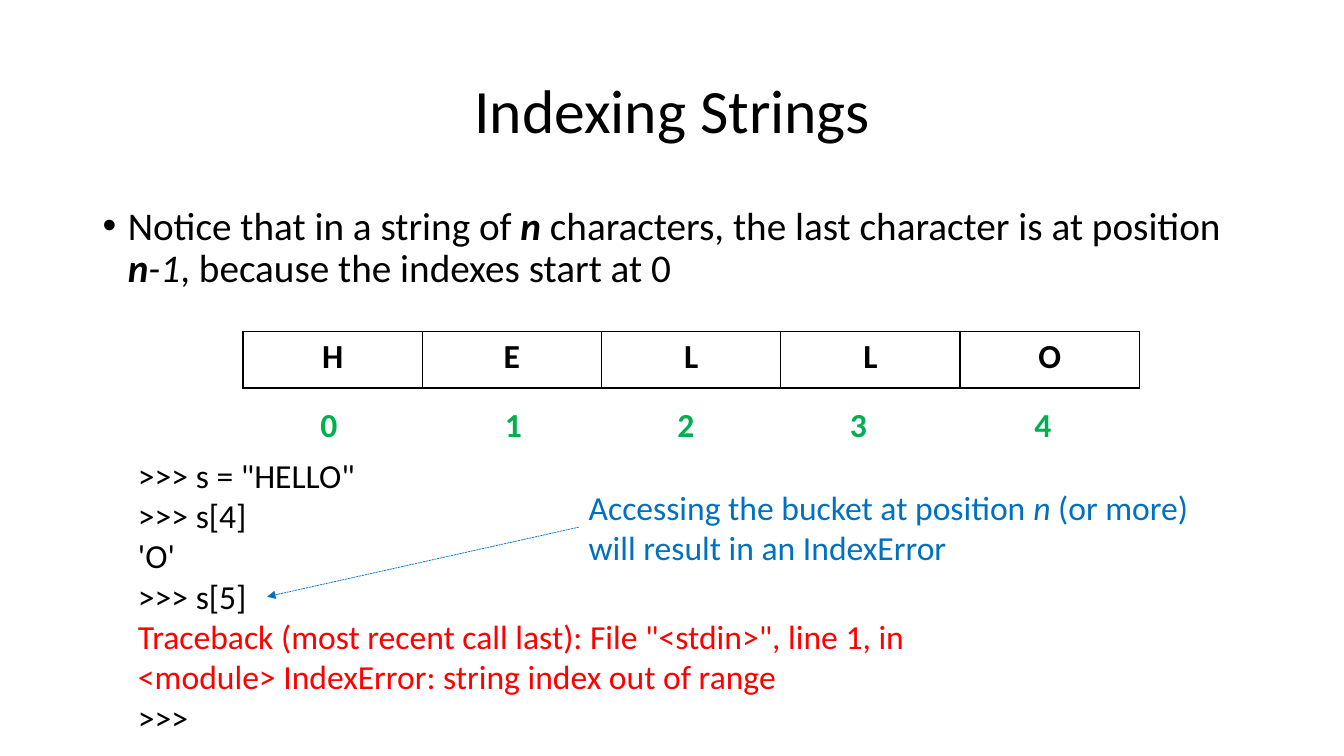
from pptx import Presentation
from pptx.dml.color import RGBColor
from pptx.enum.dml import MSO_LINE
from pptx.enum.shapes import MSO_CONNECTOR
from pptx.enum.text import MSO_ANCHOR, MSO_AUTO_SIZE, PP_ALIGN
from pptx.oxml.ns import qn
from pptx.util import Pt
from lxml import etree

PX = 9144  # 100 px to the inch
BLACK = RGBColor(0x00, 0x00, 0x00)
GREEN = RGBColor(0x00, 0xB0, 0x50)
RED = RGBColor(0xFF, 0x00, 0x00)
BLUE = RGBColor(0x00, 0x70, 0xC0)
CENTER, LEFT = PP_ALIGN.CENTER, PP_ALIGN.LEFT
TOP, MIDDLE = MSO_ANCHOR.TOP, MSO_ANCHOR.MIDDLE
NO_AUTOFIT = MSO_AUTO_SIZE.NONE
STRAIGHT = MSO_CONNECTOR.STRAIGHT
SYS_DASH = MSO_LINE.SQUARE_DOT
LINE_BREAK = None

BOLD = {"bold": True}
ITALIC = {"italic": True}
BOLD_ITALIC = {**BOLD, **ITALIC}

RULE = [
    ("Notice that in a string of ", {}),
    ("n", BOLD_ITALIC),
    (" characters, the last character is at position ", {}),
    ("n", BOLD_ITALIC),
    ("-1", ITALIC),
    (", because the indexes start at 0", {}),
]
WORD = "HELLO"
INDEX_LEFTS = [308, 491, 662, 833, 1016]
SESSION = [
    ('>>> s = "HELLO"', BLACK),
    (">>> s[4]", BLACK),
    ("'O'", BLACK),
    (">>> s[5]", BLACK),
    ('Traceback (most recent call last): File "<stdin>", line 1, in '
     "<module> IndexError: string index out of range", RED),
    (">>>", BLACK),
]
WARNING = [
    ("Accessing the bucket at position ", {}),
    ("n", ITALIC),
    (" (or more)", {}),
    (LINE_BREAK, {}),
    ("will result in an IndexError", {}),
]


def px(*lengths):
    return [length * PX for length in lengths]


def add_runs(paragraph, runs, size, color):
    """Add (text, format) runs; a LINE_BREAK text starts a new line."""
    for text, extra in runs:
        if text is LINE_BREAK:
            paragraph.add_line_break()
            continue
        run = paragraph.add_run()
        run.text = text
        for attribute, value in {"name": "Calibri", "size": Pt(size), **extra}.items():
            setattr(run.font, attribute, value)
        run.font.color.rgb = color


def add_text(slide, box, paragraphs, size=24, wrap=True, anchor=TOP, align=LEFT,
             line_spacing=None):
    """Add a text box of (runs, colour) paragraphs and return its text frame."""
    frame = slide.shapes.add_textbox(*px(*box)).text_frame
    frame_format = {"word_wrap": wrap, "auto_size": NO_AUTOFIT, "vertical_anchor": anchor}
    for attribute, value in frame_format.items():
        setattr(frame, attribute, value)
    for number, (runs, color) in enumerate(paragraphs):
        paragraph = frame.add_paragraph() if number else frame.paragraphs[0]
        paragraph.alignment = align
        paragraph.line_spacing = line_spacing
        add_runs(paragraph, runs, size, color)
    return frame


def add_bullet(paragraph, indent):
    properties = paragraph._p.get_or_add_pPr()
    properties.set("marL", str(indent * PX))
    properties.set("indent", str(-indent * PX))
    etree.SubElement(properties, qn("a:buFont"), typeface="Arial")
    etree.SubElement(properties, qn("a:buChar"), char="•")


def add_borders(cell, color):
    properties = cell._tc.get_or_add_tcPr()
    for position, side in enumerate(("lnL", "lnR", "lnT", "lnB")):
        border = etree.Element(qn(f"a:{side}"), w=str(Pt(1)))
        fill = etree.SubElement(border, qn("a:solidFill"))
        etree.SubElement(fill, qn("a:srgbClr"), val=str(color))
        properties.insert(position, border)


def add_buckets(slide, box, letters):
    """Add a one-row table with a letter in each cell."""
    table = slide.shapes.add_table(1, len(letters), *px(*box)).table
    table.first_row = table.horz_banding = False
    for cell, letter in zip(table.rows[0].cells, letters):
        cell.fill.background()
        add_borders(cell, BLACK)
        paragraph = cell.text_frame.paragraphs[0]
        paragraph.alignment = CENTER
        add_runs(paragraph, [(letter, BOLD)], 24, BLACK)


def add_arrow(slide, start, end, color):
    arrow = slide.shapes.add_connector(STRAIGHT, *px(*start, *end))
    arrow.line.color.rgb = color
    arrow.line.width = Pt(0.5)
    arrow.line.dash_style = SYS_DASH
    etree.SubElement(arrow.line._get_or_add_ln(), qn("a:tailEnd"), type="triangle")
    etree.SubElement(arrow._element.spPr, qn("a:effectLst"))


def main():
    deck = Presentation()
    deck.slide_width, deck.slide_height = px(1333, 750)
    slide = deck.slides.add_slide(deck.slide_layouts[6])

    add_text(slide, (92, 40, 1150, 145), [([("Indexing Strings", {})], BLACK)],
             size=44, anchor=MIDDLE, align=CENTER, line_spacing=0.9)
    rule = add_text(slide, (92, 200, 1150, 476), [(RULE, BLACK)],
                    size=28, line_spacing=0.9)
    add_bullet(rule.paragraphs[0], 25)

    add_buckets(slide, (241, 329, 889, 56), WORD)
    for index, left in enumerate(INDEX_LEFTS):
        add_text(slide, (left, 396, 37, 50), [([(str(index), BOLD)], GREEN)], wrap=False)

    add_text(slide, (127, 446, 852, 293),
             [([(line, {})], color) for line, color in SESSION])
    add_text(slide, (574, 478, 628, 91), [(WARNING, BLUE)], wrap=False)
    add_arrow(slide, (574, 523), (265, 592), BLUE)

    deck.save("out.pptx")


if __name__ == "__main__":
    main()
